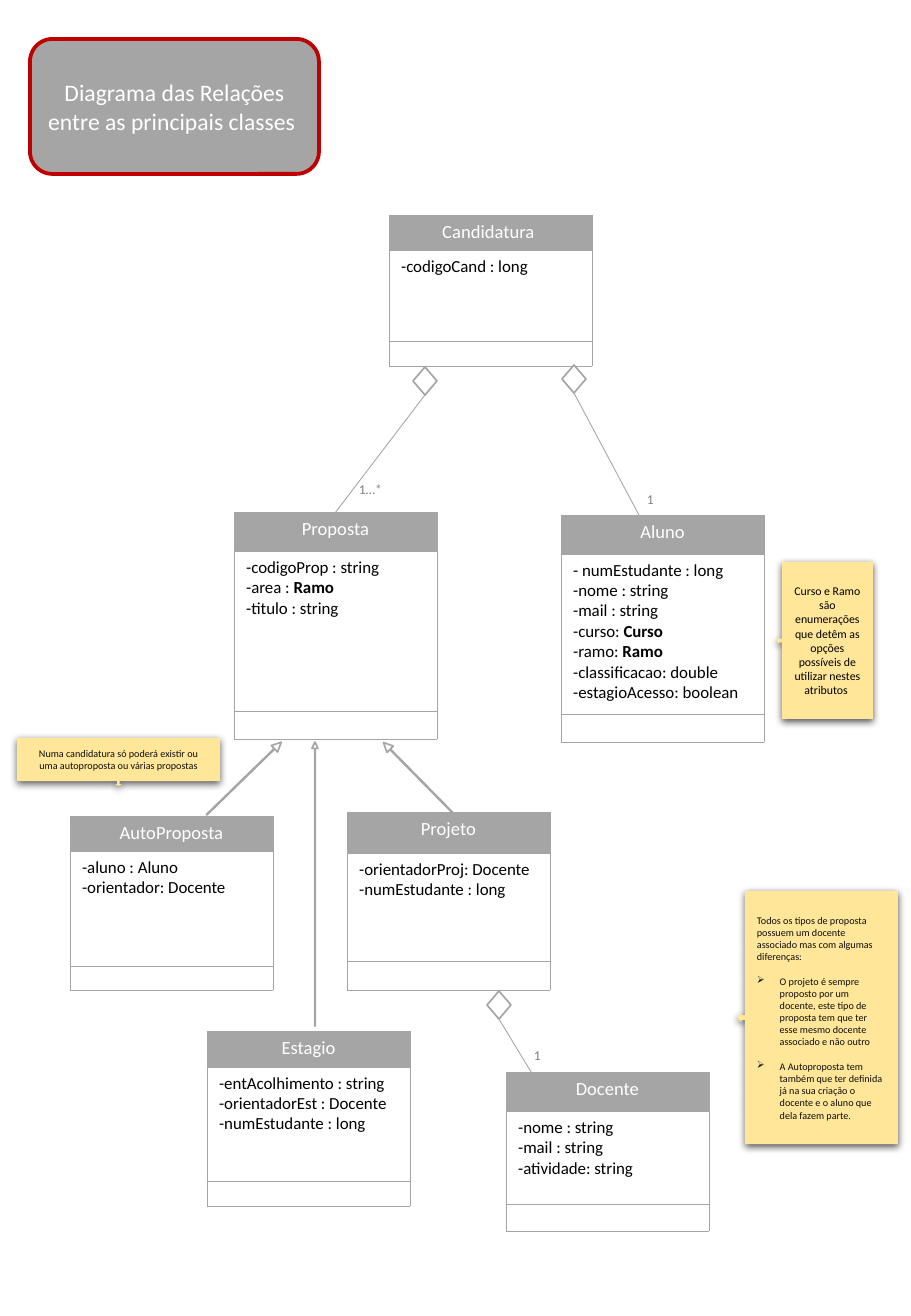
import dataclasses

import lxml.etree
import pptx
import pptx.dml.color
import pptx.enum.shapes
import pptx.enum.text
import pptx.oxml.ns
import pptx.util

PX = 914400 / 121.5
SHAPE = pptx.enum.shapes.MSO_SHAPE
ALIGN = pptx.enum.text.PP_ALIGN
ANCHOR = pptx.enum.text.MSO_ANCHOR
qn = pptx.oxml.ns.qn


@dataclasses.dataclass(frozen=True)
class Theme:
    font: str = "Calibri"
    gray: str = "A5A5A5"
    red: str = "C00000"
    white: str = "FFFFFF"
    black: str = "000000"
    note: str = "FFE699"
    note_text: str = "0D0D0D"
    label: str = "808080"
    title_size: int = 14
    class_size: int = 11
    member_size: int = 10
    label_size: int = 8
    note_size: int = 6
    side_note_size: int = 7


THEME = Theme()


def px(*lengths):
    return [pptx.util.Emu(round(length * PX)) for length in lengths]


def rgb(value):
    return pptx.dml.color.RGBColor.from_string(value)


def sub(parent, tag, **attributes):
    return lxml.etree.SubElement(parent, qn(tag), attributes)


def put_text(frame, paragraphs, size, color=THEME.black, align=ALIGN.LEFT,
             anchor=ANCHOR.TOP, wrap=True, bullets_from=None):
    """A paragraph is a string, or a pair of plain text and bold text."""
    frame.word_wrap = wrap
    frame.vertical_anchor = anchor
    for number, content in enumerate(paragraphs):
        paragraph = frame.add_paragraph() if number else frame.paragraphs[0]
        paragraph.alignment = align
        if bullets_from is not None and number >= bullets_from:
            paragraph.space_before = pptx.util.Pt(7.3)
            properties = paragraph._p.get_or_add_pPr()
            properties.set("marL", "171450")
            properties.set("indent", "-171450")
            sub(properties, "a:buChar", char="➢")
        pieces = (content,) if isinstance(content, str) else content
        for position, piece in enumerate(pieces):
            run = paragraph.add_run()
            run.text = piece
            run.font.name = THEME.font
            run.font.size = pptx.util.Pt(size)
            run.font.color.rgb = rgb(color)
            run.font.bold = position == 1


def add_figure(slide, kind, box, fill, line=None, width=1, adjustments=(), rotation=0):
    figure = slide.shapes.add_shape(kind, *px(*box))
    figure.shadow.inherit = False
    figure.fill.solid()
    figure.fill.fore_color.rgb = rgb(fill)
    if line:
        figure.line.color.rgb = rgb(line)
        figure.line.width = pptx.util.Pt(width)
    else:
        figure.line.fill.background()
    for index, value in enumerate(adjustments):
        figure.adjustments[index] = value
    figure.rotation = rotation
    return figure


def add_heading(slide, box, text):
    frame = add_figure(slide, SHAPE.ROUNDED_RECTANGLE, box, THEME.gray, THEME.red, 2.25)
    title = slide.shapes.title
    frame.element.addnext(title.element)
    title.left, title.top, title.width, title.height = px(*box)
    title.text_frame.auto_size = pptx.enum.text.MSO_AUTO_SIZE.NONE
    title.text_frame.margin_left, title.text_frame.margin_right = px(17, 17)
    put_text(title.text_frame, [text], THEME.title_size, color=THEME.white,
             align=ALIGN.CENTER, anchor=ANCHOR.MIDDLE)


def add_borders(cell):
    properties = cell._tc.get_or_add_tcPr()
    for index, side in enumerate(("a:lnL", "a:lnR", "a:lnT", "a:lnB")):
        border = lxml.etree.Element(qn(side), w="6350")
        sub(sub(border, "a:solidFill"), "a:srgbClr", val=THEME.gray)
        properties.insert(index, border)


def add_class(slide, box, rows, name, members):
    """One UML class: name, attributes and an empty operations row."""
    left, top, width = box
    table = slide.shapes.add_table(3, 1, *px(left, top, width, sum(rows))).table
    table.first_row = table.horz_banding = False
    for row, height in zip(table.rows, rows):
        row.height = px(height)[0]
    header, attributes, operations = (row.cells[0] for row in table.rows)
    for cell in (header, attributes, operations):
        cell.fill.background()
    header.fill.solid()
    header.fill.fore_color.rgb = rgb(THEME.gray)
    put_text(header.text_frame, [name], THEME.class_size, color=THEME.white,
             align=ALIGN.CENTER)
    put_text(attributes.text_frame, members, THEME.member_size)
    operations.margin_top = operations.margin_bottom = 0
    sub(operations.text_frame.paragraphs[0]._p, "a:endParaRPr", sz="600")
    for cell in (header, attributes, operations):
        add_borders(cell)


def add_aggregation(slide, box, end, label, label_box):
    """A diamond, the line from its lower tip, and the multiplicity."""
    left, top, width, height = box
    add_figure(slide, SHAPE.DIAMOND, box, THEME.white, THEME.gray)
    line = slide.shapes.add_connector(
        pptx.enum.shapes.MSO_CONNECTOR.STRAIGHT,
        *px(left + width / 2, top + height, *end))
    line.line.color.rgb = rgb(THEME.gray)
    line.line.width = pptx.util.Pt(0.5)
    sub(line.element.spPr, "a:effectLst")
    multiplicity = slide.shapes.add_textbox(*px(*label_box))
    put_text(multiplicity.text_frame, [label], THEME.label_size,
             color=THEME.label, wrap=False)


def add_note(slide, kind, box, adjustments, paragraphs, **text_format):
    note = add_figure(slide, kind, box, THEME.note, adjustments=adjustments)
    effects = note.element.spPr.find(qn("a:effectLst"))
    shadow = sub(effects, "a:outerShdw", blurRad="57150", dist="19050",
                 dir="5400000", algn="ctr", rotWithShape="0")
    sub(sub(shadow, "a:srgbClr", val=THEME.black), "a:alpha", val="63000")
    put_text(note.text_frame, paragraphs, anchor=ANCHOR.MIDDLE, **text_format)


# Class name, left, top, row heights, attributes
CLASSES = [
    ("Aluno", 561, 515, (39, 160, 28),
     ["- numEstudante : long", "-nome : string", "-mail : string",
      ("-curso: ", "Curso"), ("-ramo: ", "Ramo"),
      "-classificacao: double", "-estagioAcesso: boolean"]),
    ("Docente", 506, 1072, (39, 93, 27),
     ["-nome : string", "-mail : string", "-atividade: string"]),
    ("Proposta", 234, 512, (39, 160, 28),
     ["-codigoProp : string", ("-area : ", "Ramo"), "-titulo : string"]),
    ("Estagio", 207, 1031, (36, 114, 25),
     ["-entAcolhimento : string", "-orientadorEst : Docente", "-numEstudante : long"]),
    ("Projeto", 347, 812, (41, 108, 29),
     ["-orientadorProj: Docente", "-numEstudante : long"]),
    ("Candidatura ", 389, 215, (35, 91, 25), ["-codigoCand : long"]),
    ("AutoProposta", 70, 816, (35, 115, 24), ["-aluno : Aluno", "-orientador: Docente"]),
]
# Box and rotation of each inheritance arrow
INHERITANCE = [((192, 774, 104, 9), 315.8), ((368, 775, 104, 9), 225.4),
               ((173, 881, 284, 6), 270)]
# Diamond corner, line end, multiplicity and its box
AGGREGATIONS = [
    ((413, 367), (335, 513), "1…*", (347, 475, 47, 29)),
    ((487, 991), (539, 1085), "1", (522, 1041, 32, 29)),
    ((562, 365), (639, 515), "1", (635, 485, 32, 29)),
]


def add_class_diagram(slide):
    for name, left, top, rows, members in CLASSES:
        add_class(slide, (left, top, 203), rows, name, members)
    for box, rotation in INHERITANCE:
        add_figure(slide, SHAPE.RIGHT_ARROW, box, THEME.white, THEME.gray,
                   adjustments=(0.08, 1.05), rotation=rotation)
    for corner, end, label, label_box in AGGREGATIONS:
        add_aggregation(slide, (*corner, 24, 28), end, label, label_box)


def add_notes(slide):
    add_note(slide, SHAPE.DOWN_ARROW_CALLOUT, (17, 738, 203, 48), (0.05, 0.07, 0.04, 0.9),
             ["Numa candidatura só poderá existir ou uma autoproposta ou várias propostas"],
             size=THEME.note_size, color=THEME.note_text, align=ALIGN.CENTER)
    add_note(slide, SHAPE.LEFT_ARROW_CALLOUT, (737, 891, 161, 253), (0.03, 0.03, 0.03, 0.95),
             ["Todos os tipos de proposta possuem um docente associado mas com "
              "algumas diferenças:",
              "O projeto é sempre proposto por um docente, este tipo de proposta tem "
              "que ter esse mesmo docente associado e não outro",
              "A Autoproposta tem também que ter definida já na sua criação o docente "
              "e o aluno que dela fazem parte."],
             size=THEME.note_size, color=THEME.note_text, bullets_from=1)
    add_note(slide, SHAPE.LEFT_ARROW_CALLOUT, (776, 562, 97, 157), (0.04, 0.03, 0.03, 0.94),
             ["Curso e Ramo são enumerações que detêm as opções possíveis de "
              "utilizar nestes atributos "],
             size=THEME.side_note_size, align=ALIGN.CENTER)


def main():
    presentation = pptx.Presentation()
    presentation.slide_width, presentation.slide_height = px(911, 1316)
    slide = presentation.slides.add_slide(presentation.slide_layouts[5])
    add_heading(slide, (30, 39, 289, 135),
                "Diagrama das Relações entre as principais classes ")
    add_class_diagram(slide)
    add_notes(slide)
    presentation.save("out.pptx")


if __name__ == "__main__":
    main()
